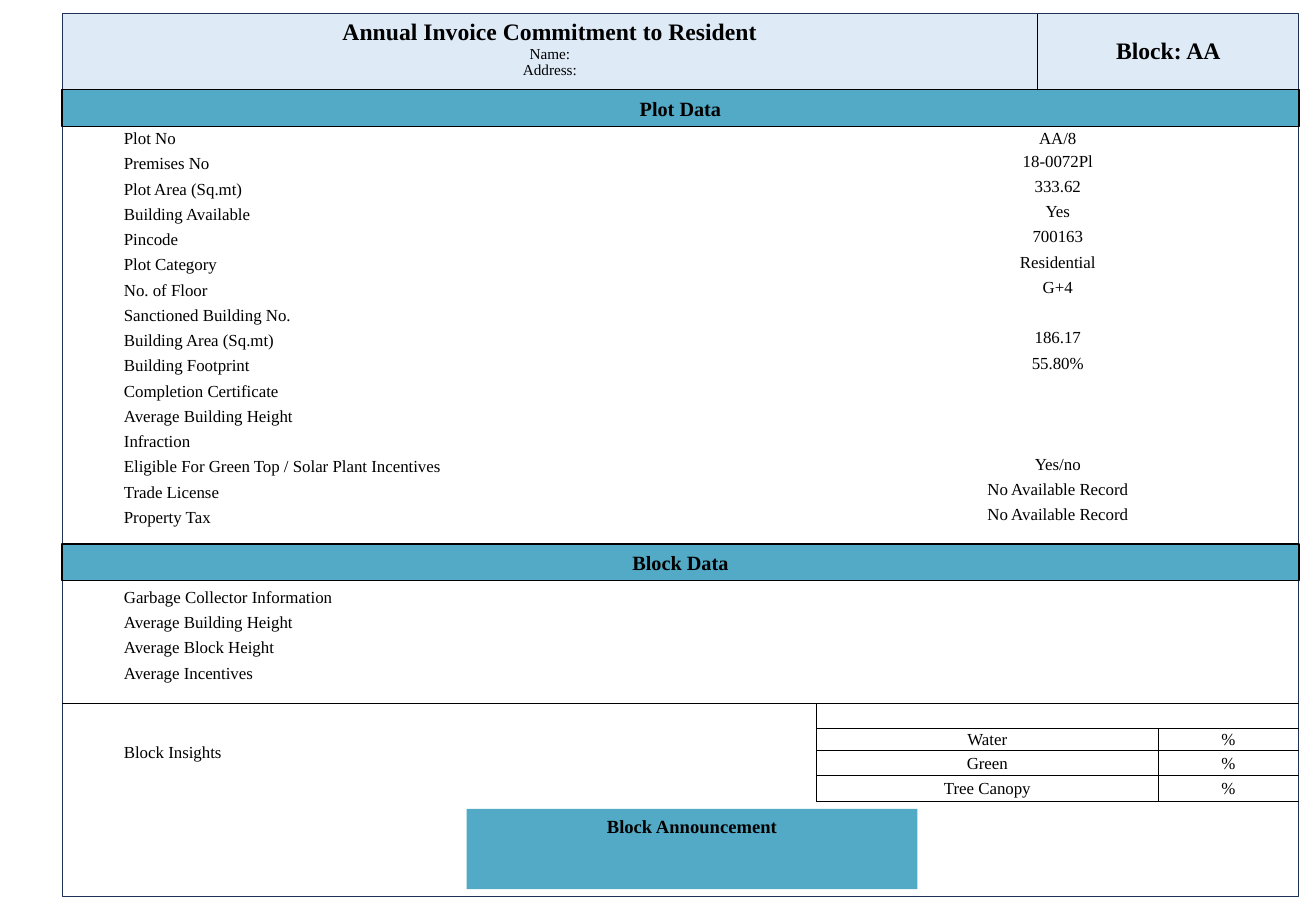
"""Build the annual invoice slide for one plot and its block."""
import pptx
import pptx.dml.color
import pptx.enum.shapes
import pptx.enum.text
import pptx.oxml
import pptx.oxml.ns
import pptx.util

inch = pptx.util.Inches
hue = pptx.dml.color.RGBColor.from_string
align = pptx.enum.text.PP_ALIGN
anchor = pptx.enum.text.MSO_ANCHOR


def write(frame, lines, side=align.CENTER):
    """Add one paragraph per text, size and weight."""
    for num, (text, size, bold) in enumerate(lines):
        para = frame.add_paragraph() if num else frame.paragraphs[0]
        para.alignment = side
        run = para.add_run()
        run.text = text
        run.font.name = "Times New Roman"
        run.font.size = pptx.util.Pt(size)
        run.font.bold = bold
        run.font.color.rgb = hue("000000")


def make_grid(top, wide, high, edges, fill=None, slim=True):
    """Add a table whose edges map (row, column) to border sides."""
    frame = slide.shapes.add_table(len(high), len(wide), inch(left), inch(top),
                                   inch(sum(wide)), inch(sum(high)))
    grid = frame.table
    grid.first_row = grid.horz_banding = False
    for col, size in zip(grid.columns, wide):
        col.width = inch(size)
    for row, size in zip(grid.rows, high):
        row.height = inch(size)
    for r in range(len(high)):
        for c in range(len(wide)):
            cell = grid.cell(r, c)
            props = cell._tc.get_or_add_tcPr()
            for side in "LRTB":
                drawn = side in edges.get((r, c), "")
                ink = '<a:solidFill><a:srgbClr val="000000"/></a:solidFill>' if drawn else "<a:noFill/>"
                props.append(pptx.oxml.parse_xml(
                    f'<a:ln{side} {pptx.oxml.ns.nsdecls("a")} w="6350">{ink}</a:ln{side}>'))
            if fill:
                cell.fill.solid()
                cell.fill.fore_color.rgb = hue(fill)
            else:
                cell.fill.background()
            if slim:
                cell.margin_left = inch(0.01 if c else 0.51)
                cell.margin_right = cell.margin_top = inch(0.01)
                cell.margin_bottom = 0
                cell.vertical_anchor = anchor.MIDDLE if c else anchor.BOTTOM
                cell.text_frame.paragraphs[0]._p.get_or_add_endParaRPr().set("sz", "800")
    return grid


deck = pptx.Presentation()
deck.slide_width, deck.slide_height = inch(10.83), inch(7.5)
slide = deck.slides.add_slide(deck.slide_layouts[6])

left, full = 0.51, 10.18
pitch = 3.12 / 15
label = 6.21

head = make_grid(0.11, [8.03, 2.15], [0.63], {(0, 0): "R", (0, 1): "L"}, "DEEBF7", False)
write(head.cell(0, 0).text_frame, [
    ("Annual Invoice Commitment to Resident", 14, True),
    ("Name:", 9, False),
    ("Address:", 9, False),
])
head.cell(0, 1).vertical_anchor = anchor.MIDDLE
write(head.cell(0, 1).text_frame, [("Block: AA", 14, True)])

bars = [
    ("", 0, left, 0.11, full, 7.27, None, "1E3256", 0.5),
    ("Plot Data", 12, left, 0.74, full, 0.3, "52AAC6", "000000", 0.75),
    ("Block Data", 12, left, 4.48, full, 0.3, "52AAC6", "000000", 0.75),
    ("Block Announcement", 11, 3.84, 6.66, 3.71, 0.66, "52AAC6", None, 0),
]
for text, size, x, y, wide, high, fill, line, weight in bars:
    bar = slide.shapes.add_shape(pptx.enum.shapes.MSO_SHAPE.RECTANGLE,
                                 inch(x), inch(y), inch(wide), inch(high))
    bar.shadow.inherit = False
    if fill:
        bar.fill.solid()
        bar.fill.fore_color.rgb = hue(fill)
    else:
        bar.fill.background()
    if line:
        bar.line.color.rgb = hue(line)
        bar.line.width = pptx.util.Pt(weight)
    else:
        bar.line.fill.background()
    if text:
        bar.text_frame.word_wrap = True
        bar.text_frame.vertical_anchor = anchor.TOP
        write(bar.text_frame, [(text, size, True)])

facts = [
    ("Plot No", "AA/8"),
    ("Premises No", "18-0072Pl"),
    ("Plot Area (Sq.mt)", "333.62"),
    ("Building Available", "Yes"),
    ("Pincode", "700163"),
    ("Plot Category", "Residential"),
    ("No. of Floor", "G+4"),
    ("Sanctioned Building No.", ""),
    ("Building Area (Sq.mt)", "186.17"),
    ("Building Footprint", "55.80%"),
    ("Completion Certificate", ""),
    ("Average Building Height", ""),
    ("Infraction", ""),
    ("Eligible For Green Top / Solar Plant Incentives", "Yes/no"),
    ("Trade License", "No Available Record"),
    ("Property Tax", "No Available Record"),
]
plot = make_grid(1.05, [label, full - label], [0.17] + [pitch] * 15, {})
for r, (name, value) in enumerate(facts):
    write(plot.cell(r, 0).text_frame, [(name, 10, False)], align.LEFT)
    if value:
        write(plot.cell(r, 1).text_frame, [(value, 10, False)])

edges = {(4, c): "B" for c in range(3)}
for r in range(5, 9):
    edges.update({(r, 0): "R", (r, 1): "LRTB", (r, 2): "LTB"})
edges.update({(5, 0): "RT", (8, 0): "RB", (5, 1): "LTB", (5, 2): "TB"})
block = make_grid(4.79, [label, 2.81, 1.16],
                  [pitch] * 4 + [0.17, pitch, 0.18, pitch, pitch], edges)
for r in range(6):
    block.cell(r, 1).merge(block.cell(r, 2))
block.cell(5, 0).merge(block.cell(8, 0))
block.cell(5, 0).vertical_anchor = anchor.MIDDLE

names = {0: "Garbage Collector Information", 1: "Average Building Height",
         2: "Average Block Height", 3: "Average Incentives", 5: "Block Insights"}
for r, name in names.items():
    write(block.cell(r, 0).text_frame, [(name, 10, False)], align.LEFT)
for r, name in enumerate(["Water", "Green", "Tree Canopy"], 6):
    write(block.cell(r, 1).text_frame, [(name, 10, False)])
    write(block.cell(r, 2).text_frame, [("%", 10, False)])

deck.save("out.pptx")
